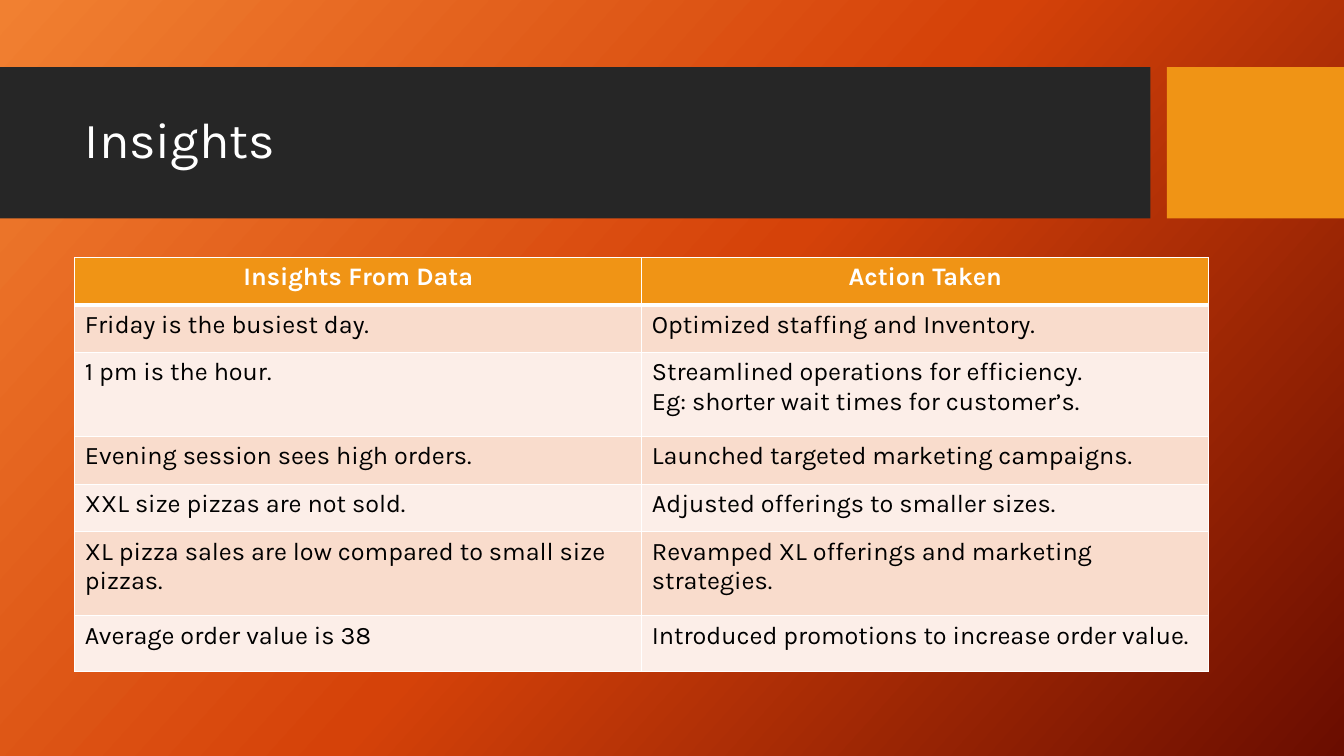
from copy import deepcopy

from lxml.etree import SubElement
from pptx import Presentation
from pptx.dml.color import RGBColor
from pptx.enum.shapes import MSO_SHAPE
from pptx.enum.text import MSO_ANCHOR, PP_ALIGN
from pptx.oxml.ns import qn
from pptx.util import Pt

# Content
TITLE = "Insights"
HEADER = ("Insights From Data", "Action Taken")
INSIGHTS = [
    ("Friday is the busiest day.", "Optimized staffing and Inventory."),
    ("1 pm is the hour.",
     "Streamlined operations for efficiency.\nEg: shorter wait times for customer’s."),
    ("Evening session sees high orders.", "Launched targeted marketing campaigns."),
    ("XXL size pizzas are not sold.", "Adjusted offerings to smaller sizes."),
    ("XL pizza sales are low compared to small size pizzas.",
     "Revamped XL offerings and marketing strategies."),
    ("Average order value is 38", "Introduced promotions to increase order value."),
]
ROW_HEIGHTS = (34, 34, 60, 34, 34, 60, 40)

# Style
FONT = "Karla"
WHITE = RGBColor(0xFF, 0xFF, 0xFF)
BLACK = RGBColor(0x00, 0x00, 0x00)
DARK = RGBColor(0x26, 0x26, 0x26)
ORANGE = RGBColor(0xF0, 0x94, 0x15)
BANDS = (RGBColor(0xF9, 0xDC, 0xCC), RGBColor(0xFC, 0xEE, 0xE8))
GRADIENT = ((0, RGBColor(0xF1, 0x80, 0x31)),
            (0.5, RGBColor(0xD5, 0x42, 0x09)),
            (1, RGBColor(0x6A, 0x0D, 0x00)))

# Layout, in points
SLIDE_W, SLIDE_H = 960, 540
BAND_TOP, BAND_H = 48, 108
BAND_W, ACCENT_LEFT = 821.7, 833.5
TABLE_LEFT, TABLE_TOP, TABLE_W = 53.5, 184, 810


def add_block(s, left, width, color):
    sp = s.shapes.add_shape(MSO_SHAPE.RECTANGLE, Pt(left), Pt(BAND_TOP),
                            Pt(width), Pt(BAND_H))
    sp.shadow.inherit = False
    sp.fill.solid()
    sp.fill.fore_color.rgb = color
    sp.line.fill.background()


def set_font(p, size, color, bold=False):
    p.font.name = FONT
    p.font.size = Pt(size)
    p.font.color.rgb = color
    p.font.bold = bold


def set_borders(cell, top, bottom):
    """White cell borders; the fill must be set afterwards."""
    tc_pr = cell._tc.get_or_add_tcPr()
    for side, width in (("L", 1), ("R", 1), ("T", top), ("B", bottom)):
        ln = SubElement(tc_pr, qn(f"a:ln{side}"), w=str(Pt(width)))
        fill = SubElement(ln, qn("a:solidFill"))
        SubElement(fill, qn("a:srgbClr"), val=str(WHITE))


prs = Presentation()
prs.slide_width, prs.slide_height = Pt(SLIDE_W), Pt(SLIDE_H)
s = prs.slides.add_slide(prs.slide_layouts[5])

# Background gradient
fill = s.background.fill
fill.gradient()
fill.gradient_angle = 360 - 42
stops = s.element.find(".//" + qn("a:gsLst"))
stops.append(deepcopy(stops[0]))
for stop, (position, color) in zip(fill.gradient_stops, GRADIENT):
    stop.position = position
    stop.color.rgb = color

# Title band
add_block(s, 0, BAND_W, DARK)
add_block(s, ACCENT_LEFT, SLIDE_W - ACCENT_LEFT, ORANGE)

# Title, brought in front of the band
title = s.shapes.title
s.shapes.element.append(title.element)
title.left, title.top, title.width, title.height = Pt(53.5), Pt(59), Pt(757), Pt(85)
tf = title.text_frame
tf.text = TITLE
tf.vertical_anchor = MSO_ANCHOR.MIDDLE
p = tf.paragraphs[0]
p.alignment = PP_ALIGN.LEFT
p.line_spacing = 0.9
set_font(p, 36, WHITE)

# Table
rows = [HEADER] + INSIGHTS
table = s.shapes.add_table(len(rows), len(HEADER), Pt(TABLE_LEFT), Pt(TABLE_TOP),
                           Pt(TABLE_W), Pt(sum(ROW_HEIGHTS))).table
for column in table.columns:
    column.width = Pt(TABLE_W / len(HEADER))
for i, (texts, height) in enumerate(zip(rows, ROW_HEIGHTS)):
    table.rows[i].height = Pt(height)
    is_header = i == 0
    for j, text in enumerate(texts):
        cell = table.cell(i, j)
        cell.text = text
        set_borders(cell, top=3 if i == 1 else 1, bottom=3 if is_header else 1)
        cell.fill.solid()
        cell.fill.fore_color.rgb = ORANGE if is_header else BANDS[(i - 1) % 2]
        for p in cell.text_frame.paragraphs:
            p.alignment = PP_ALIGN.CENTER if is_header else PP_ALIGN.LEFT
            set_font(p, 18, WHITE if is_header else BLACK, is_header)

prs.save("out.pptx")
